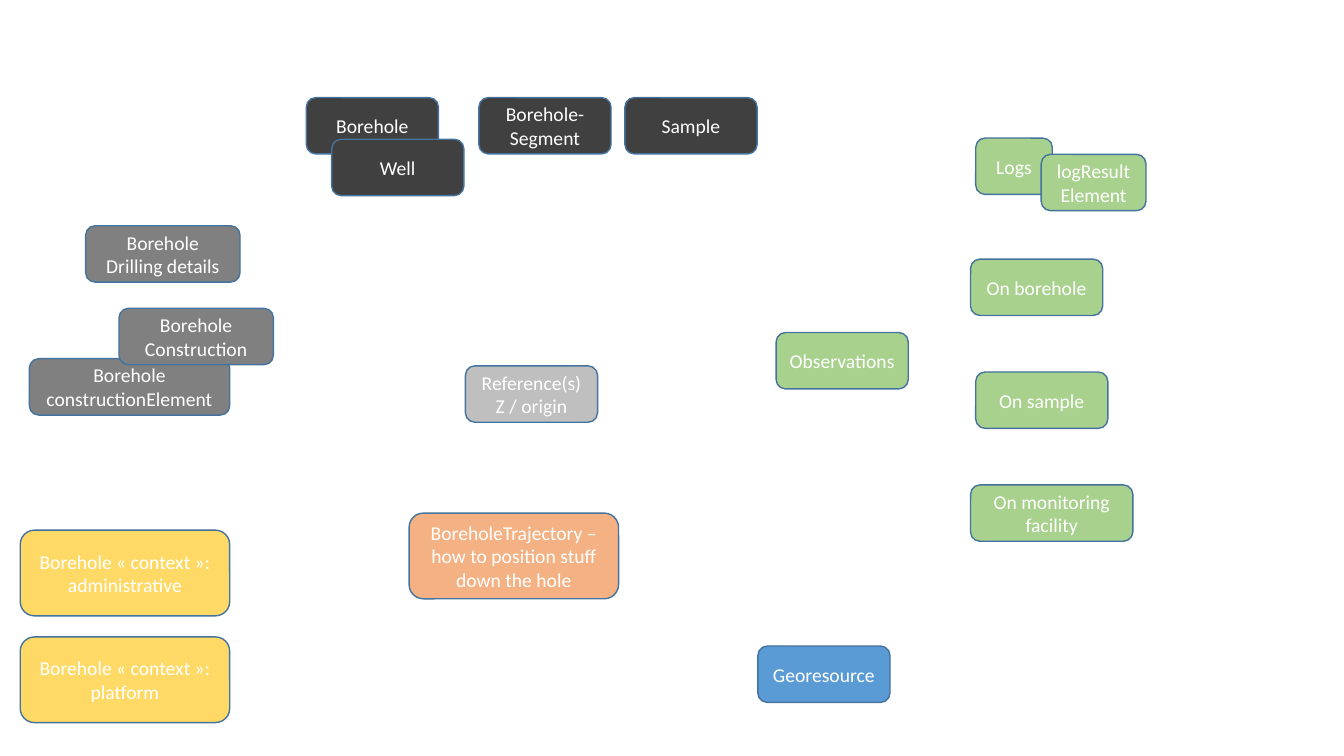
from pptx import Presentation
from pptx import util as u
from pptx.dml import color
from pptx.enum import shapes, text

WIDTH, HEIGHT = 3.33, 1.42
WIDE, TALL = 5.28, 2.16
DETAIL_WIDTH = 3.89
FEATURE, DETAIL, REFERENCE = "404040", "808080", "BFBFBF"
OBSERVATION, TRAJECTORY = "A9D18E", "F4B183"
CONTEXT, RESOURCE = "FFD966", "5B9BD5"
FEATURE_TOP = 2.46
TARGET_TOP, TARGET_STEP = 6.53, 2.845


def rgb(value):
    return color.RGBColor.from_string(value)


class Diagram:
    font_format = {"name": "Calibri", "size": u.Pt(14)}
    frame_format = {"word_wrap": True, "vertical_anchor": text.MSO_ANCHOR.MIDDLE}
    outline = "43739E"
    text_color = "FFFFFF"

    def __init__(self, page):
        self.page = page

    def apply(self, target, values):
        for name, value in values.items():
            setattr(target, name, value)

    def concept(self, label, fill, left, top, width=WIDTH, height=HEIGHT):
        box = self.page.shapes.add_shape(
            shapes.MSO_SHAPE.ROUNDED_RECTANGLE,
            u.Cm(left), u.Cm(top), u.Cm(width), u.Cm(height))
        box.shadow.inherit = False
        box.fill.solid()
        box.fill.fore_color.rgb = rgb(fill)
        box.line.color.rgb = rgb(self.outline)
        box.line.width = u.Pt(1)
        self.apply(box.text_frame, self.frame_format)
        box.text_frame.text = label
        for para in box.text_frame.paragraphs:
            para.alignment = text.PP_ALIGN.CENTER
            for span in para.runs:
                self.apply(span.font, self.font_format)
                span.font.color.rgb = rgb(self.text_color)


def main():
    deck = Presentation()
    deck.slide_width, deck.slide_height = u.Cm(33.87), u.Cm(19.05)
    page = deck.slides.add_slide(deck.slide_layouts[6])
    diagram = Diagram(page)

    concepts = [
        ("Borehole", FEATURE, 7.72, FEATURE_TOP),
        ("Well", FEATURE, 8.36, 3.51),
        ("Borehole-Segment", FEATURE, 12.07, FEATURE_TOP),
        ("Reference(s) Z / origin", REFERENCE, 11.73, 9.22),
        ("Logs", OBSERVATION, 24.59, 3.48, 1.93),
        ("Observations", OBSERVATION, 19.56, 8.38),
        ("Sample", FEATURE, 15.75, FEATURE_TOP),
        ("On borehole", OBSERVATION, 24.46, TARGET_TOP),
        ("On sample", OBSERVATION, 24.59, TARGET_TOP + TARGET_STEP),
        ("On monitoring facility", OBSERVATION, 24.46, TARGET_TOP + 2 * TARGET_STEP, 4.09),
        ("BoreholeTrajectory – how to position stuff down the hole",
         TRAJECTORY, 10.31, 12.93, WIDE, TALL),
        ("Borehole\nDrilling details", DETAIL, 2.16, 5.69, DETAIL_WIDTH),
        ("Georesource", RESOURCE, 19.1, 16.28),
        ("Borehole « context »: administrative", CONTEXT, 0.51, 13.36, WIDE, TALL),
        ("Borehole « context »: platform", CONTEXT, 0.51, 16.05, WIDE, TALL),
        ("Borehole\nconstructionElement", DETAIL, 0.74, 9.04, 5.05),
        ("logResultElement", OBSERVATION, 26.24, 3.89, 2.64),
        ("Borehole\nConstruction", DETAIL, 3, 7.77, DETAIL_WIDTH),
    ]
    for concept in concepts:
        diagram.concept(*concept)

    deck.save("out.pptx")


if __name__ == "__main__":
    main()
